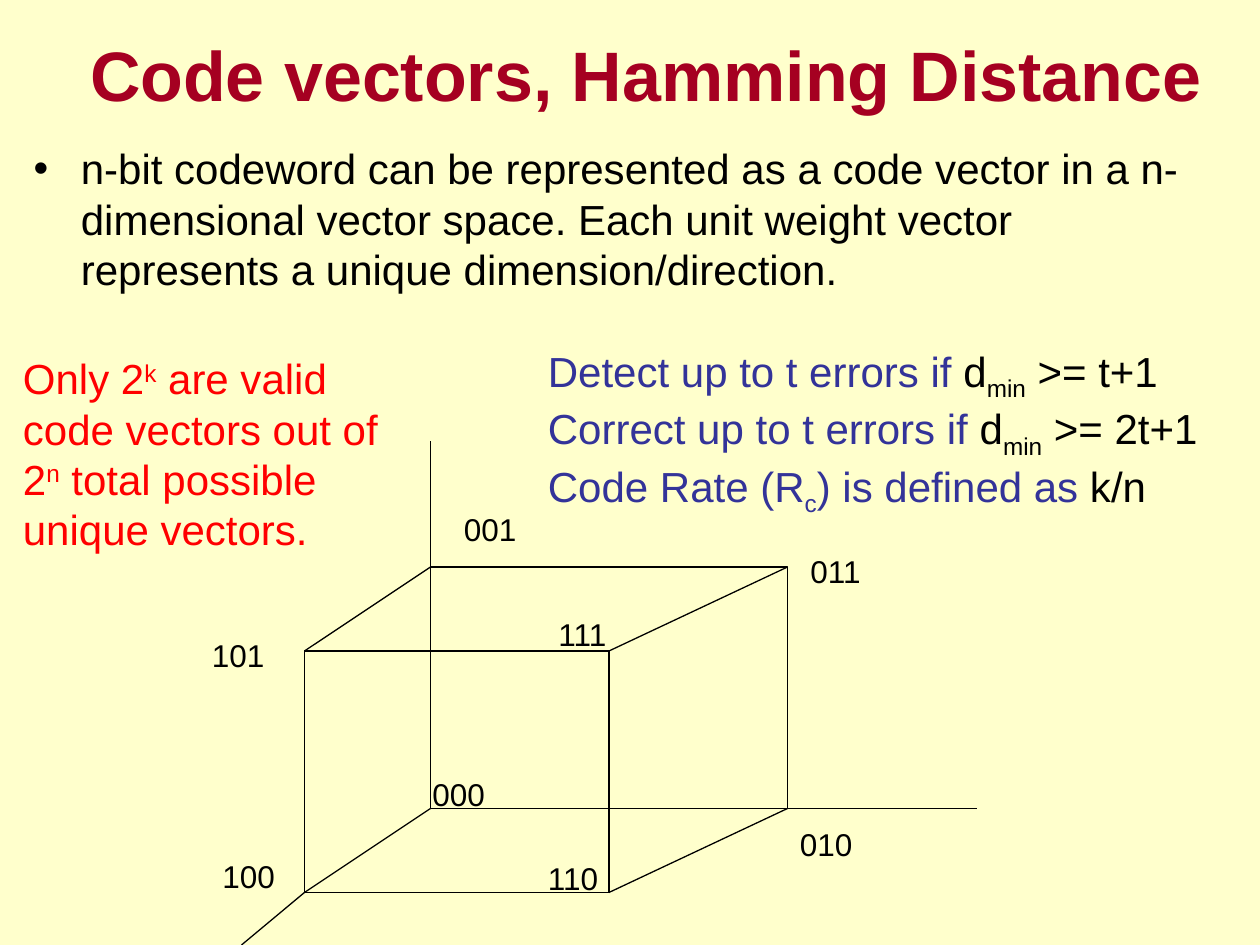
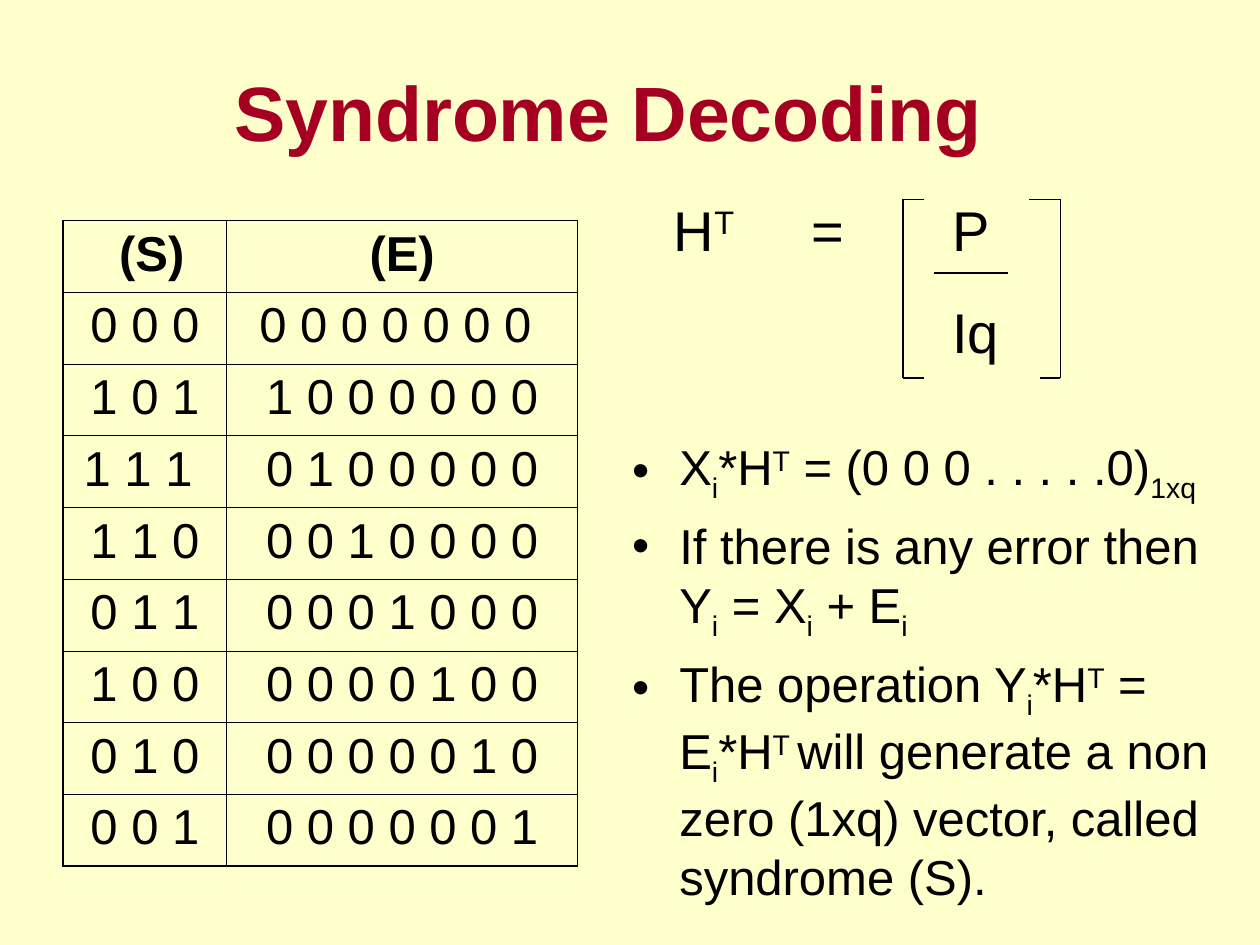
"""Builds two slides on code vectors, Hamming distance and syndrome decoding."""
from lxml import etree
from pptx import Presentation, util as u
from pptx.dml.color import RGBColor
from pptx.enum import shapes, text
from pptx.oxml.ns import qn

CREAM = RGBColor(0xFF, 0xFF, 0xCC)
CRIMSON = RGBColor(0xA5, 0x00, 0x21)
RED = RGBColor(0xFF, 0x00, 0x00)
INDIGO = RGBColor(0x33, 0x33, 0x99)
BLACK = RGBColor(0x00, 0x00, 0x00)
FONT = "Arial"
BASELINES = {"^": "30000", "_": "-25000"}
CENTER = text.PP_ALIGN.CENTER
GROW = text.MSO_AUTO_SIZE.SHAPE_TO_FIT_TEXT
FIXED = text.MSO_AUTO_SIZE.NONE

deck = Presentation()
deck.slide_width, deck.slide_height = u.Inches(10), u.Inches(7.5)
UNIT = deck.slide_width / 120
backdrop = deck.slide_master.background.fill
backdrop.solid()
backdrop.fore_color.rgb = CREAM


def write(frame, lines, size, ink=BLACK, bold=False, align=None, gap=0):
    """Fill a frame; | parts runs, @ turns a run indigo, ^ raises and _ lowers it."""
    frame.word_wrap = True
    for index, line in enumerate(lines):
        paragraph = frame.add_paragraph() if index else frame.paragraphs[0]
        paragraph.alignment = align
        paragraph.space_before = u.Pt(gap if index else 0)
        for piece in line.split("|"):
            run = paragraph.add_run()
            color = INDIGO if piece.startswith("@") else ink
            piece = piece.removeprefix("@")
            if piece[0] in BASELINES:
                run._r.get_or_add_rPr().set("baseline", BASELINES[piece[0]])
                piece = piece[1:]
            run.text = piece
            for name, value in {"name": FONT, "size": u.Pt(size), "bold": bold}.items():
                setattr(run.font, name, value)
            run.font.color.rgb = color


def stroke(slide, *ends):
    """Draw a thin black line between two grid points."""
    line = slide.shapes.add_connector(
        shapes.MSO_CONNECTOR.STRAIGHT, *[round(end * UNIT) for end in ends])
    line.line.color.rgb = BLACK
    line.line.width = u.Pt(0.75)
    etree.SubElement(line._element.spPr, qn("a:effectLst"))


topics = [
    ("Code vectors, Hamming Distance", 40, (3, 2, 117, 10),
     ["n-bit codeword can be represented as a code vector in a n-dimensional vector space. "
      "Each unit weight vector represents a unique dimension/direction."],
     24, (2, 13, 115, 17)),
    ("Syndrome Decoding ", 44, (5, 4, 108, 13),
     ["X|_i|*H|^T| = (0 0 0 . . . . .0)|_1xq",
      "If there is any error then Y|_i| = X|_i| + E|_i",
      "The operation Y|_i|*H|^T| = E|_i|*H|^T |will generate a non zero (1xq) vector, "
      "called syndrome (S)."],
     28, (59, 41, 58, 49)),
]
slides = []
for heading, heading_size, heading_box, points, point_size, point_box in topics:
    slide = deck.slides.add_slide(deck.slide_layouts[1])
    title, body = slide.placeholders
    for holder, box in ((title, heading_box), (body, point_box)):
        holder.left, holder.top, holder.width, holder.height = [round(n * UNIT) for n in box]
        holder.text_frame.auto_size = FIXED
    title.text_frame.vertical_anchor = text.MSO_ANCHOR.MIDDLE
    write(title.text_frame, [heading], heading_size, CRIMSON, True, CENTER)
    write(body.text_frame, points, point_size, gap=7)
    slides.append(slide)
hamming, syndrome = slides

back_left, back_right, back_top, back_bottom = 41, 75, 54, 77
front_left, front_right, front_top, front_bottom = 29, 58, 62, 85
for left, top, right, bottom in (
        (back_left, back_top, back_right, back_bottom),
        (front_left, front_top, front_right, front_bottom)):
    face = hamming.shapes.add_shape(
        shapes.MSO_SHAPE.RECTANGLE,
        *[round(n * UNIT) for n in (left, top, right - left, bottom - top)])
    face.shadow.inherit = False
    face.fill.background()
    face.line.color.rgb = BLACK
    face.line.width = u.Pt(0.75)
for back_x, front_x in ((back_left, front_left), (back_right, front_right)):
    for back_y, front_y in ((back_top, front_top), (back_bottom, front_bottom)):
        stroke(hamming, back_x, back_y, front_x, front_y)
stroke(hamming, back_right, back_bottom, 93, back_bottom)
stroke(hamming, back_left, back_top, back_left, 42)
stroke(hamming, front_left, front_bottom, 23, 90)

corners = {"011": (76, 52), "010": (75, 78), "110": (51, 81.25), "100": (20, 81),
           "101": (19, 60), "001": (43, 48), "111": (52, 58), "000": (40, 73.2)}
notes = [(hamming, (*corner, 8, 4.8), [code], 18, BLACK, 0) for code, corner in corners.items()]
notes += [
    (hamming, (1, 33, 38, 20.4),
     ["Only 2|^k| are valid code vectors out of 2|^n| total possible unique vectors."],
     24, RED, 0),
    (hamming, (51, 32.3, 69, 17.6),
     ["@Detect up to t errors if |d|_min| >= t+1",
      "@Correct up to t errors if |d|_min| >= 2t+1",
      "@Code Rate (R|@_c|@) is defined as |k/n"], 24, BLACK, 0),
    (syndrome, (63, 18, 46, 17.4), ["H|^T|\t=\tP", "\t\tIq"], 32, BLACK, 20),
]
for slide, box, lines, size, ink, gap in notes:
    note = slide.shapes.add_textbox(*[round(n * UNIT) for n in box])
    write(note.text_frame, lines, size, ink, gap=gap)
    note.text_frame.auto_size = GROW
for paragraph in note.text_frame.paragraphs:
    stops = etree.SubElement(paragraph._p.get_or_add_pPr(), qn("a:tabLst"))
    for stop in (1.09, 2.21):
        etree.SubElement(stops, qn("a:tab"), pos=str(u.Inches(stop)), algn="l")

matrix_left, matrix_right, matrix_top, matrix_bottom = 86, 101, 19, 36
stroke(syndrome, 89, 26, 96, 26)
for side, tips in ((matrix_left, (88, 88)), (matrix_right, (98, 99))):
    stroke(syndrome, side, matrix_top, side, matrix_bottom)
    for level, tip in zip((matrix_top, matrix_bottom), tips):
        stroke(syndrome, side, level, tip, level)

patterns = [
    (" (S)", "(E)"),
    ("0 0 0", "0 0 0 0 0 0 0 "),
    ("1 0 1", "1 0 0 0 0 0 0"),
    ("1 1 1 ", "0 1 0 0 0 0 0"),
    ("1 1 0", "0 0 1 0 0 0 0"),
    ("0 1 1", "0 0 0 1 0 0 0"),
    ("1 0 0", "0 0 0 0 1 0 0"),
    ("0 1 0", "0 0 0 0 0 1 0"),
    ("0 0 1", "0 0 0 0 0 0 1"),
]
last = len(patterns) - 1
lookup = syndrome.shapes.add_table(
    len(patterns), 2, *[round(n * UNIT) for n in (6, 21, 49, 61.5)]).table
lookup.first_row = lookup.horz_banding = False
for column, width in zip(lookup.columns, (15.6, 33.4)):
    column.width = round(width * UNIT)
for row, pattern in enumerate(patterns):
    for col, bits in enumerate(pattern):
        cell = lookup.cell(row, col)
        write(cell.text_frame, [bits], 28, bold=row == 0, align=CENTER)
        outer = {"lnL": col == 0, "lnR": col == 1, "lnT": row == 0, "lnB": row == last}
        for edge, is_outer in outer.items():
            border = etree.SubElement(cell._tc.get_or_add_tcPr(), qn(f"a:{edge}"),
                                      w=str(u.Pt(1.08 if is_outer else 0.45)))
            paint = etree.SubElement(border, qn("a:solidFill"))
            etree.SubElement(paint, qn("a:srgbClr"), val=str(BLACK))
        cell.fill.background()

deck.save("out.pptx")
